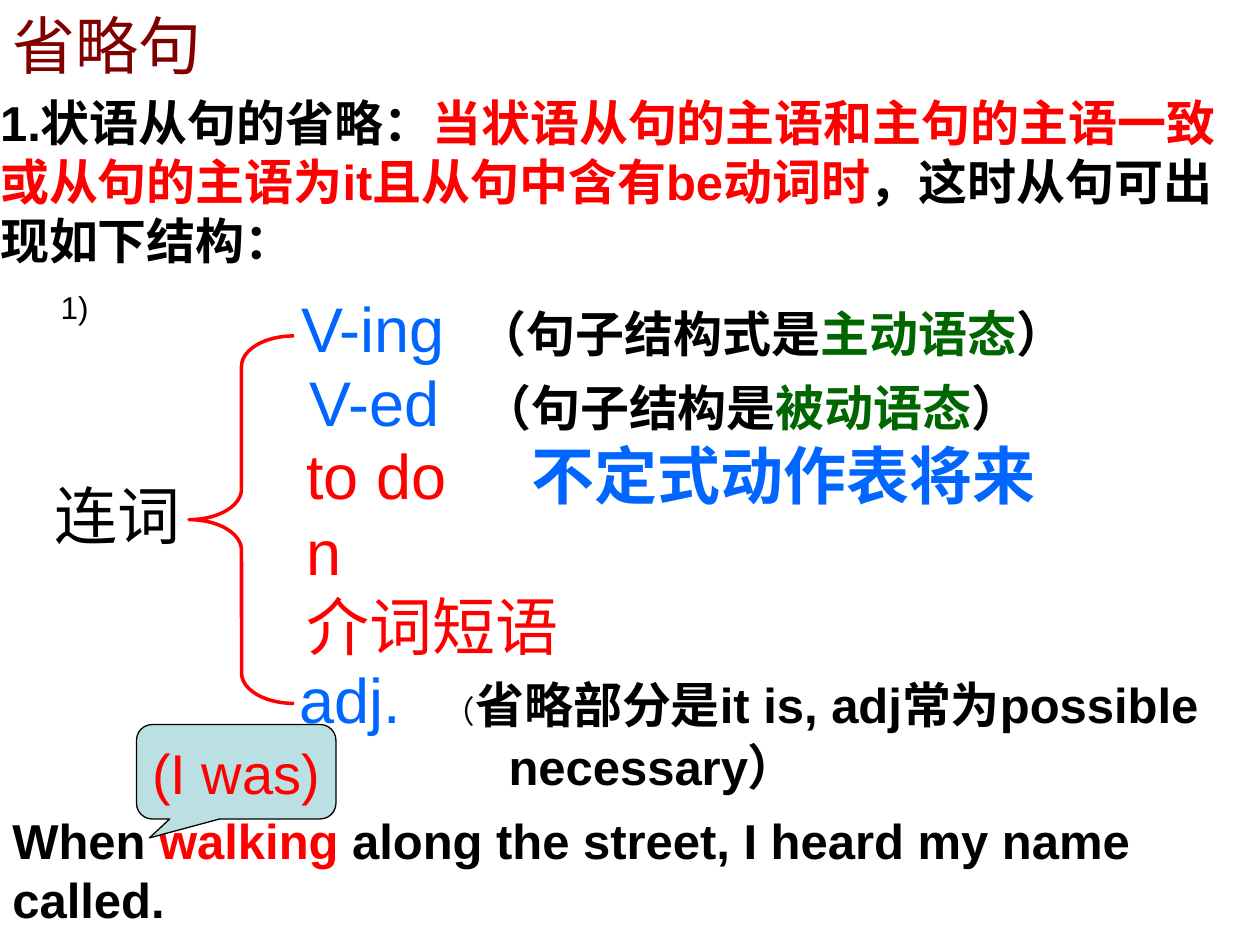
from lxml import etree
from pptx import Presentation
from pptx.dml.color import RGBColor
from pptx.enum.shapes import MSO_SHAPE
from pptx.enum.text import MSO_ANCHOR, MSO_AUTO_SIZE, PP_ALIGN
from pptx.oxml.ns import qn
from pptx.util import Pt

LEFT, CENTER = PP_ALIGN.LEFT, PP_ALIGN.CENTER
TOP, MIDDLE = MSO_ANCHOR.TOP, MSO_ANCHOR.MIDDLE
NO_AUTOFIT = MSO_AUTO_SIZE.NONE
LEFT_BRACE = MSO_SHAPE.LEFT_BRACE
CALLOUT = MSO_SHAPE.ROUNDED_RECTANGULAR_CALLOUT

BLACK = RGBColor(0x00, 0x00, 0x00)
WHITE = RGBColor(0xFF, 0xFF, 0xFF)
RED = RGBColor(0xFF, 0x00, 0x00)
MAROON = RGBColor(0x80, 0x00, 0x00)
BLUE = RGBColor(0x00, 0x66, 0xFF)
GREEN = RGBColor(0x00, 0x66, 0x00)
PALE_TEAL = RGBColor(0xBB, 0xE0, 0xE3)


def write(holder, lines, size=28, bold=False, align=LEFT, anchor=TOP, wrap=True,
          tab=None, last_indent=0):
    """Fill a shape with lines, each a list of (text, colour[, size[, bold]]) runs.

    tab is a tab stop for every line; last_indent shifts the last line.
    """
    frame = holder.text_frame
    frame.word_wrap = wrap
    frame.auto_size = NO_AUTOFIT
    frame.vertical_anchor = anchor
    for number, line in enumerate(lines):
        paragraph = frame.paragraphs[0] if number == 0 else frame.add_paragraph()
        paragraph.alignment = align
        properties = paragraph._p.get_or_add_pPr()
        if tab:
            stops = etree.SubElement(properties, qn("a:tabLst"))
            etree.SubElement(stops, qn("a:tab"), pos=str(Pt(tab)), algn="l")
        if last_indent and number == len(lines) - 1:
            properties.set("marL", str(Pt(last_indent)))
            properties.set("indent", "0")
        for text, color, *own in line:
            run = paragraph.add_run()
            run.text = text
            run.font.name = "Arial"
            run.font.size = Pt(own[0] if own else size)
            run.font.bold = own[1] if len(own) > 1 else bold
            run.font.color.rgb = color


prs = Presentation()
prs.slide_width, prs.slide_height = Pt(720), Pt(540)
slide = prs.slides.add_slide(prs.slide_layouts[5])
shapes = slide.shapes

title = shapes.title
title.left, title.top, title.width, title.height = Pt(0), Pt(0), Pt(300), Pt(50.5)
write(title, [[("省略句", MAROON)]], size=36)

# Each entry: left, top, width, height, lines, format
passages = [
    (-7, 49.5, 740, 108, [
        [("1.状语从句的省略：", BLACK), ("当状语从句的主语和主句的主语一致", RED)],
        [("或从句的主语为it且从句中含有be动词时", RED), ("，这时从句可出", BLACK)],
        [("现如下结构：", BLACK)],
    ], dict(bold=True)),
    (27.5, 161, 40, 29, [[("1)", BLACK)]], dict(size=18)),
    (24, 268.5, 90, 50.5, [[("连词", BLACK)]], dict(size=36)),
    (165, 162, 470, 50.5, [
        [("V-ing\t", BLUE, 36, False), ("（句子结构式是", BLACK),
         ("主动语态", GREEN), ("）", BLACK)],
    ], dict(bold=True, tab=101)),
    (170, 204, 450, 50.5, [
        [("V-ed\t", BLUE, 36, False), ("（句子结构是", BLACK),
         ("被动语态", GREEN), ("）", BLACK)],
    ], dict(bold=True, tab=98.5)),
    (168, 246, 486, 137, [
        [("to do\t", RED), ("不定式动作表将来", BLUE, 36, True)],
        [("n", RED)],
        [("介词短语", RED)],
    ], dict(size=36, tab=128.5)),
    (164, 374, 556, 84, [
        [("adj.\t", BLUE, 36, False), ("（", BLACK, 18, False),
         ("省略部分是it is, adj常为possible", BLACK)],
        [("necessary）", BLACK)],
    ], dict(bold=True, tab=82.5, last_indent=119.5)),
    (0, 459.5, 720, 75, [
        [("When ", BLACK), ("walking", RED), (" along the street, I heard my name", BLACK)],
        [("called.", BLACK)],
    ], dict(bold=True)),
]
for left, top, width, height, lines, look in passages:
    passage = shapes.add_textbox(Pt(left), Pt(top), Pt(width), Pt(height))
    write(passage, lines, **look)

brace = shapes.add_shape(LEFT_BRACE, Pt(108), Pt(192), Pt(60), Pt(210))
brace.adjustments[0] = 0.29
omitted_words = shapes.add_shape(CALLOUT, Pt(78), Pt(414), Pt(114), Pt(54))
for index, value in enumerate((-0.435, 0.7, 0.167)):
    omitted_words.adjustments[index] = value
for drawn, fill, line, weight in (
    (brace, WHITE, RED, 2),
    (omitted_words, PALE_TEAL, BLACK, 0.75),
):
    drawn.shadow.inherit = False
    drawn.fill.solid()
    drawn.fill.fore_color.rgb = fill
    drawn.line.color.rgb = line
    drawn.line.width = Pt(weight)
label = omitted_words.text_frame
label.margin_left = label.margin_right = Pt(0)
write(omitted_words, [[("(I was)", RED)]], size=32, align=CENTER, anchor=MIDDLE, wrap=False)

prs.save("out.pptx")
